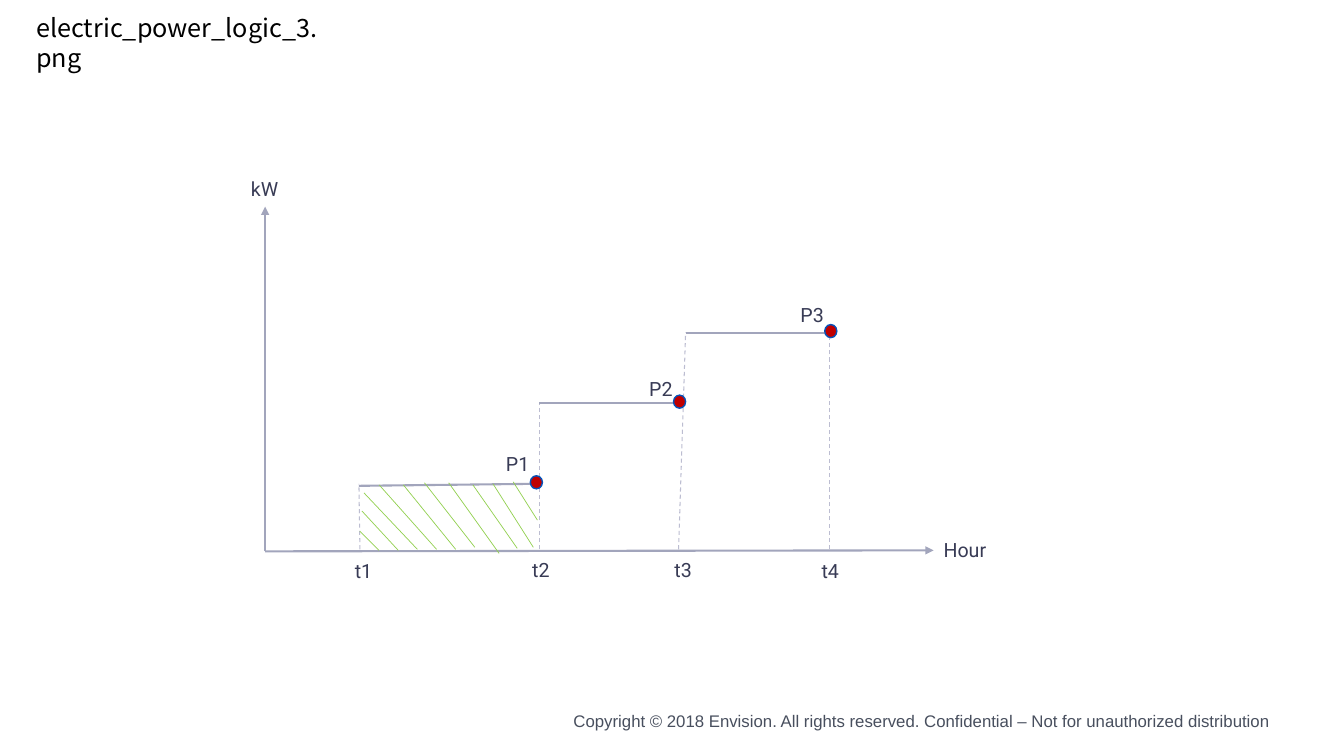
"""Build a slide with a stepped power-over-time diagram."""
from dataclasses import dataclass

from lxml import etree
from pptx import Presentation
from pptx.dml.color import RGBColor
from pptx.enum.dml import MSO_LINE
from pptx.enum.shapes import MSO_CONNECTOR, MSO_SHAPE
from pptx.enum.text import MSO_ANCHOR, MSO_AUTO_SIZE, PP_ALIGN
from pptx.oxml.ns import qn
from pptx.util import Inches, Pt

STRAIGHT = MSO_CONNECTOR.STRAIGHT
OVAL = MSO_SHAPE.OVAL
DASH = MSO_LINE.DASH
TOP = MSO_ANCHOR.TOP
NO_FIT = MSO_AUTO_SIZE.NONE
LEFT, RIGHT = PP_ALIGN.LEFT, PP_ALIGN.RIGHT

BLACK = RGBColor(0x00, 0x00, 0x00)
FOOTER_GRAY = RGBColor(0x48, 0x4F, 0x5E)
LABEL_INK = RGBColor(0x38, 0x3B, 0x55)
AXIS_GRAY = RGBColor(0xA2, 0xA5, 0xBC)
GUIDE_GRAY = RGBColor(0xBC, 0xBD, 0xD1)
HATCH_GREEN = RGBColor(0x92, 0xD0, 0x50)
DOT_RED = RGBColor(0xC0, 0x00, 0x00)
DOT_BLUE = RGBColor(0x06, 0x52, 0xB8)


@dataclass(frozen=True)
class LineStyle:
    color: RGBColor
    width: float
    dashed: bool = False
    arrow: bool = False


@dataclass(frozen=True)
class Segment:
    x1: float
    y1: float
    x2: float
    y2: float


@dataclass(frozen=True)
class Label:
    text: str
    left: float
    top: float
    width: float = 0.68


AXIS = LineStyle(AXIS_GRAY, 1.5, arrow=True)
STEP = LineStyle(AXIS_GRAY, 1.5)
GUIDE = LineStyle(GUIDE_GRAY, 0.75, dashed=True)
HATCH = LineStyle(HATCH_GREEN, 0.5)

AXES = [Segment(2.63, 5.47, 9.26, 5.46), Segment(2.63, 5.47, 2.63, 2.05)]
STEPS = [
    Segment(3.56, 4.82, 5.28, 4.8),
    Segment(5.35, 4, 6.73, 4),
    Segment(6.8, 3.3, 8.24, 3.3),
]
GUIDES = [
    Segment(3.57, 5.45, 3.56, 4.8),
    Segment(5.35, 5.45, 5.35, 3.99),
    Segment(6.73, 5.45, 6.8, 3.3),
    Segment(8.23, 5.45, 8.23, 3.3),
]
HATCHES = [
    Segment(3.57, 5.27, 3.76, 5.46),
    Segment(3.59, 5.07, 3.95, 5.46),
    Segment(3.61, 4.89, 4.14, 5.45),
    Segment(3.76, 4.81, 4.33, 5.45),
    Segment(4, 4.81, 4.52, 5.45),
    Segment(4.21, 4.79, 4.71, 5.43),
    Segment(4.45, 4.79, 4.95, 5.49),
    Segment(4.69, 4.81, 5.13, 5.44),
    Segment(4.89, 4.8, 5.29, 5.43),
    Segment(5.09, 4.78, 5.33, 5.16),
]
DOTS = [(5.26, 4.72), (6.68, 3.92), (8.18, 3.22)]
LABELS = [
    Label("kW", 2.39, 1.71, 1.13),
    Label("Hour", 9.26, 5.29, 1.13),
    Label("t1", 3.42, 5.5),
    Label("t2", 5.18, 5.49),
    Label("t3", 6.59, 5.49),
    Label("t4", 8.05, 5.5),
    Label("P1", 4.92, 4.43),
    Label("P2", 6.34, 3.69),
    Label("P3", 7.84, 2.96),
]


def place(sp, left: float, top: float, width: float, height: float) -> None:
    """Move and size a shape."""
    sp.left, sp.top = Inches(left), Inches(top)
    sp.width, sp.height = Inches(width), Inches(height)


def write(sp, text: str, font: str, size: float, color: RGBColor, align=LEFT) -> None:
    """Fill a shape with one formatted paragraph."""
    tf = sp.text_frame
    tf.text = text
    tf.word_wrap = True
    tf.auto_size = NO_FIT
    tf.vertical_anchor = TOP
    p = tf.paragraphs[0]
    p.alignment = align
    r = p.runs[0]
    r.font.name = font
    r.font.size = Pt(size)
    r.font.color.rgb = color
    east_asian = etree.SubElement(r.font._element, qn("a:ea"))
    east_asian.set("typeface", font)


def add_line(s, segment: Segment, style: LineStyle) -> None:
    """Draw one straight line."""
    line = s.shapes.add_connector(
        STRAIGHT, Inches(segment.x1), Inches(segment.y1), Inches(segment.x2), Inches(segment.y2)
    )
    line.line.color.rgb = style.color
    line.line.width = Pt(style.width)
    if style.dashed:
        line.line.dash_style = DASH
    if style.arrow:
        tail = etree.SubElement(line.line._get_or_add_ln(), qn("a:tailEnd"))
        tail.set("type", "triangle")
    etree.SubElement(line._element.spPr, qn("a:effectLst"))


def add_dot(s, left: float, top: float) -> None:
    """Draw one data point."""
    dot = s.shapes.add_shape(OVAL, Inches(left), Inches(top), Inches(0.12), Inches(0.13))
    dot.shadow.inherit = False
    dot.fill.solid()
    dot.fill.fore_color.rgb = DOT_RED
    dot.line.color.rgb = DOT_BLUE
    dot.line.width = Pt(1)


def add_text(s, label: Label, height: float, font: str, size: float, color: RGBColor, align=LEFT) -> None:
    """Add one text box."""
    box = s.shapes.add_textbox(0, 0, 0, 0)
    place(box, label.left, label.top, label.width, height)
    write(box, label.text, font, size, color, align)


def main() -> None:
    """Build and save the slide."""
    prs = Presentation()
    prs.slide_width, prs.slide_height = Inches(13.33), Inches(7.5)
    s = prs.slides.add_slide(prs.slide_layouts[5])

    title = s.shapes.title
    place(title, 0.26, 0.07, 3.1, 0.4)
    write(title, "electric_power_logic_3.png", "Noto Sans CJK SC", 18, BLACK)

    footer = Label(
        "Copyright © 2018 Envision. All rights reserved. Confidential – Not for unauthorized distribution",
        4.87, 7, 7.83,
    )
    add_text(s, footer, 0.3, "Arial", 12, FOOTER_GRAY, RIGHT)

    for style, segments in ((GUIDE, GUIDES), (STEP, STEPS), (AXIS, AXES), (HATCH, HATCHES)):
        for segment in segments:
            add_line(s, segment, style)
    for left, top in DOTS:
        add_dot(s, left, top)
    for label in LABELS:
        add_text(s, label, 0.34, "Roboto", 14, LABEL_INK)

    prs.save("out.pptx")


if __name__ == "__main__":
    main()
